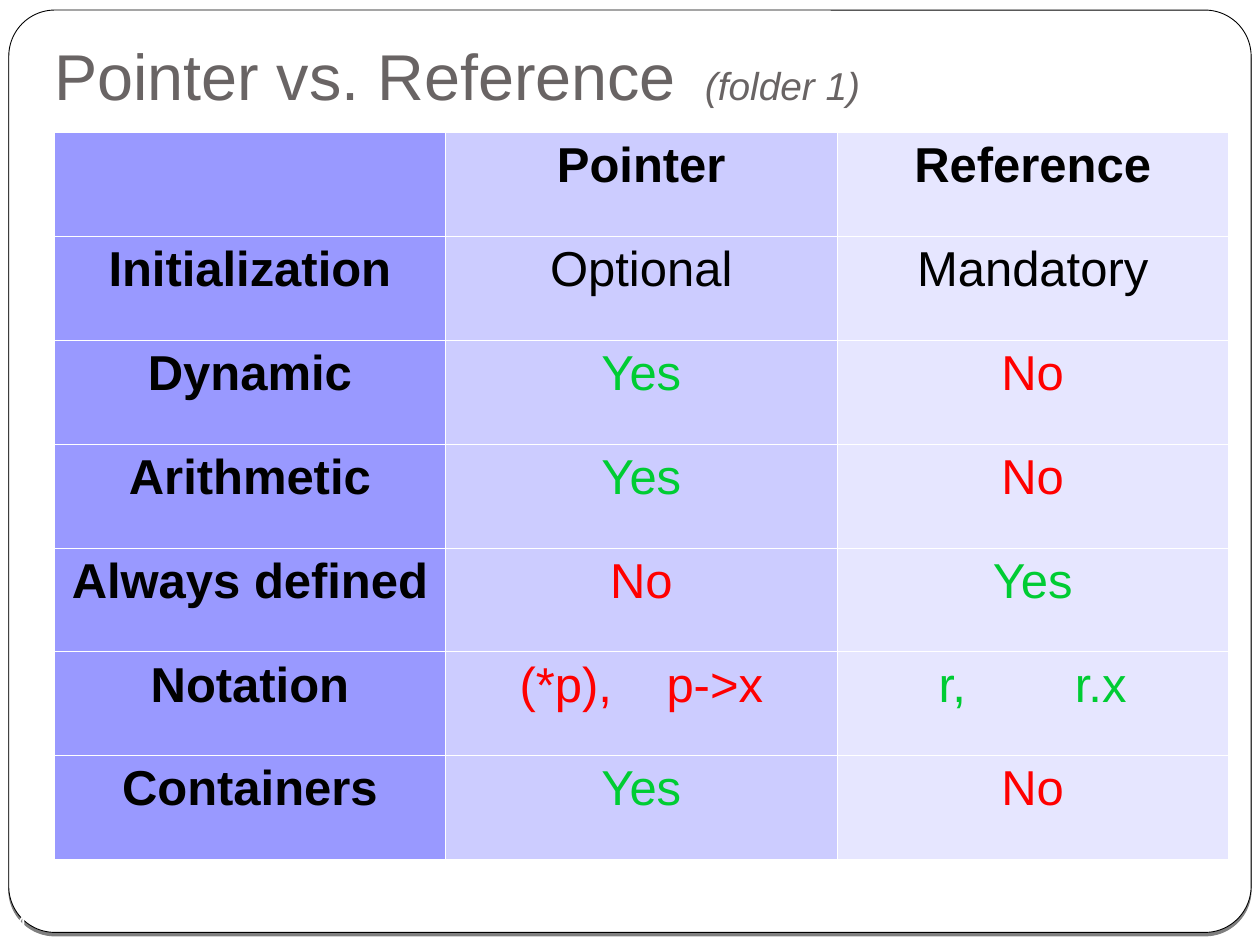
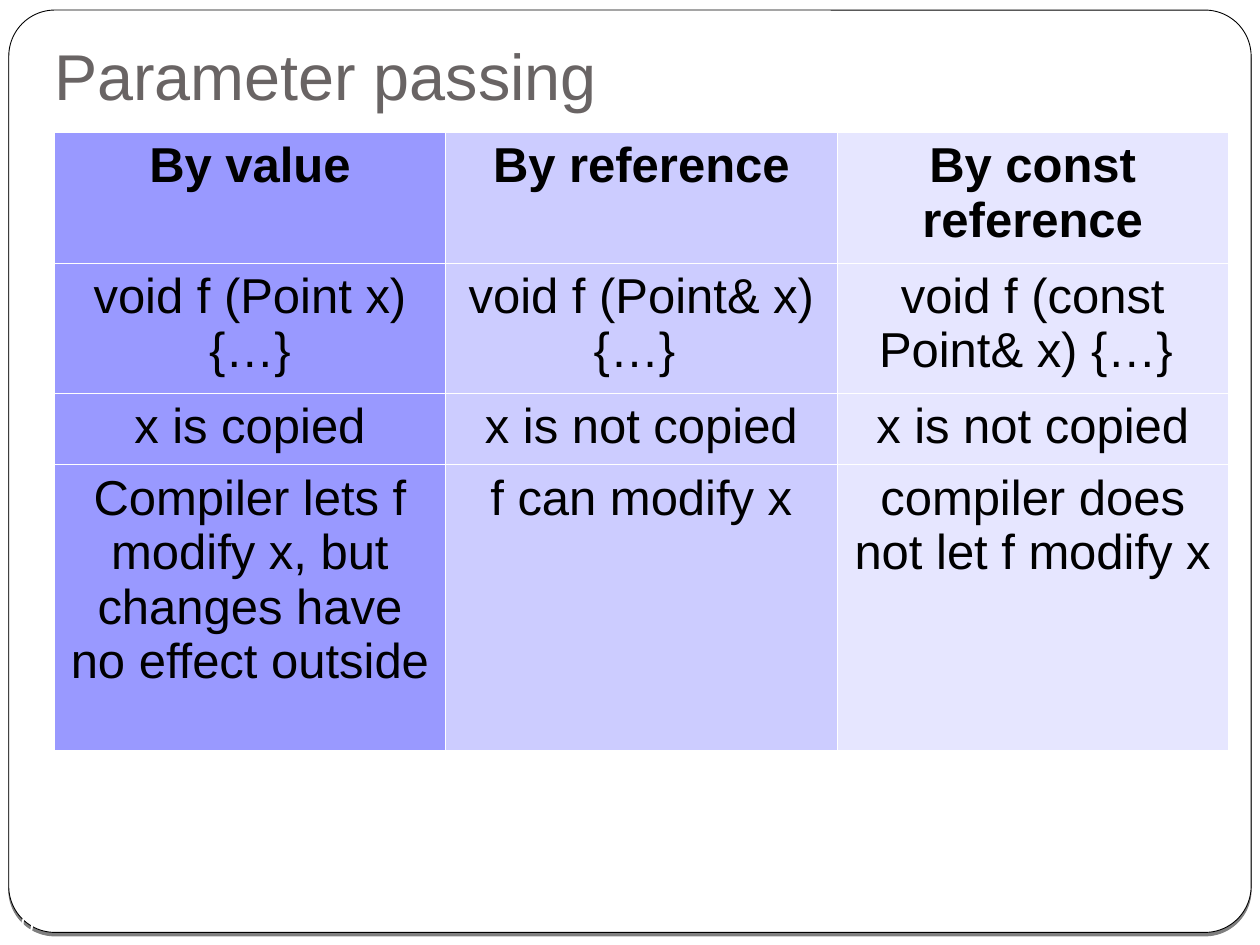
import pptx
import pptx.util
import pptx.dml.color
import pptx.enum.shapes
import pptx.enum.text
import pptx.oxml
import pptx.oxml.ns

Inches = pptx.util.Inches
Pt = pptx.util.Pt
MSO_SHAPE = pptx.enum.shapes.MSO_SHAPE
PP_ALIGN = pptx.enum.text.PP_ALIGN
MSO_ANCHOR = pptx.enum.text.MSO_ANCHOR

FONT = "Arial"
COLORS = {
    "paper": "FFFFFF",
    "ink": "000000",
    "title": "696464",
    "good": "00CC33",
    "bad": "FF0000",
}
COLUMN_FILLS = ["9999FF", "CCCCFF", "E6E6FF"]

SLIDE_BOX = (0, 0, 10, 7.5)
FRAME_BOX = (0.07, 0.08, 9.86, 7.32)
TITLE_BOX = (0.33, 0.3, 9.33, 0.7)
NUMBER_BOX = (0, 7.17, 0.33, 0.33)
TABLE_LEFT, TABLE_TOP, TABLE_WIDTH = 0.43, 1.05, 9.32

POINTER_ROWS = [
    ["", "Pointer", "Reference"],
    ["Initialization", "Optional", "Mandatory"],
    ["Dynamic", "Yes", "No"],
    ["Arithmetic", "Yes", "No"],
    ["Always defined", "No", "Yes"],
    ["Notation", "(*p), p->x", "r, r.x"],
    ["Containers", "Yes", "No"],
]
PASSING_ROWS = [
    ["By value", "By reference", "By const reference"],
    ["void f (Point x) {…}", "void f (Point& x) {…} ", "void f (const Point& x) {…} "],
    ["x is copied", "x is not copied", "x is not copied"],
    [
        "Compiler lets f modify x, but changes have no effect outside",
        "f can modify x",
        "compiler does not let f modify x",
    ],
]
VERDICTS = {"Yes": "good", "No": "bad", "(*p), p->x": "bad", "r, r.x": "good"}
NOTATION_GAPS = {"(*p), p->x": 23.4, "r, r.x": 54.5}


def rgb(value):
    return pptx.dml.color.RGBColor.from_string(value)


def inches(box):
    return [Inches(v) for v in box]


def set_font(font, size, color, bold=False):
    font.name = FONT
    font.size = Pt(size)
    font.bold = bold
    font.color.rgb = rgb(COLORS[color])


def set_margins(tf, left, top, right, bottom):
    tf.margin_left, tf.margin_top = Inches(left), Inches(top)
    tf.margin_right, tf.margin_bottom = Inches(right), Inches(bottom)


def add_spaced_runs(p, before, after, gap):
    runs = []
    for text in (before, " ", after):
        r = p.add_run()
        r.text = text
        runs.append(r)
    runs[1].font._element.set("spc", str(round(gap * 100)))
    return runs


def add_shadow(sp):
    sp.shadow.inherit = False
    effects = sp._element.spPr.find(pptx.oxml.ns.qn("a:effectLst"))
    effects.append(pptx.oxml.parse_xml(
        f'<a:outerShdw {pptx.oxml.ns.nsdecls("a")} blurRad="0" dist="{Pt(2)}" '
        f'dir="5400000" rotWithShape="0"><a:srgbClr val="{COLORS["ink"]}">'
        '<a:alpha val="50000"/></a:srgbClr></a:outerShdw>'
    ))


def add_panel(s, shape_type, box):
    sp = s.shapes.add_shape(shape_type, *inches(box))
    sp.shadow.inherit = False
    sp.fill.solid()
    sp.fill.fore_color.rgb = rgb(COLORS["paper"])
    sp.line.fill.background()
    return sp


def style_master(prs, s):
    master = prs.slide_master
    fill = master.background.fill
    fill.gradient()
    fill.gradient_angle = 270
    for stop, color in zip(fill.gradient_stops, ("ink", "paper")):
        stop.color.rgb = rgb(COLORS[color])

    backdrop = add_panel(s, MSO_SHAPE.RECTANGLE, SLIDE_BOX)
    frame = add_panel(s, MSO_SHAPE.ROUNDED_RECTANGLE, FRAME_BOX)
    frame.adjustments[0] = 0.05
    frame.line.color.rgb = rgb(COLORS["ink"])
    frame.line.width = Pt(0.5)
    add_shadow(frame)
    for i, sp in enumerate((backdrop, frame)):
        master.shapes._spTree.insert(2 + i, sp._element)


def add_title(s, box, text, note=None):
    sp = s.shapes.title
    sp.left, sp.top, sp.width, sp.height = inches(box)
    tf = sp.text_frame
    tf.word_wrap = True
    tf.auto_size = pptx.enum.text.MSO_AUTO_SIZE.NONE
    tf.vertical_anchor = MSO_ANCHOR.BOTTOM
    set_margins(tf, 0.1, 0.05, 0.1, 0.1)
    p = tf.paragraphs[0]
    p.alignment = PP_ALIGN.LEFT
    p.line_spacing = 0.8
    set_font(p.font, 37, "title")
    if note:
        r = add_spaced_runs(p, text, note, 6.2)[-1]
        r.font.size = Pt(22.2)
        r.font.italic = True
    else:
        p.add_run().text = text


def add_number(s, box, number):
    tf = s.shapes.add_textbox(*inches(box)).text_frame
    tf.word_wrap = True
    tf.vertical_anchor = MSO_ANCHOR.MIDDLE
    set_margins(tf, 0, 0, 0, 0)
    p = tf.paragraphs[0]
    p.text = str(number)
    p.alignment = PP_ALIGN.CENTER
    set_font(p.font, 14, "paper")


def add_borders(cell):
    tcPr = cell._tc.get_or_add_tcPr()
    for side in ("lnL", "lnR", "lnT", "lnB"):
        tcPr.append(pptx.oxml.parse_xml(
            f'<a:{side} {pptx.oxml.ns.nsdecls("a")} w="{Pt(0.06)}"><a:solidFill>'
            f'<a:srgbClr val="{COLORS["paper"]}"/></a:solidFill></a:{side}>'
        ))


def fill_cell(cell, text, fill, bold):
    add_borders(cell)
    cell.fill.solid()
    cell.fill.fore_color.rgb = rgb(fill)
    set_margins(cell, 0.1, 0.05, 0.1, 0.05)
    p = cell.text_frame.paragraphs[0]
    p.alignment = PP_ALIGN.CENTER
    set_font(p.font, 28, VERDICTS.get(text, "ink"), bold)
    if text in NOTATION_GAPS:
        add_spaced_runs(p, *text.split(" "), NOTATION_GAPS[text])
    elif text:
        p.add_run().text = text


def add_comparison(s, box, rows, heights, bold_labels):
    columns = len(COLUMN_FILLS)
    table = s.shapes.add_table(len(rows), columns, *inches(box)).table
    table.first_row = table.horz_banding = False
    for column in table.columns:
        column.width = Inches(box[2] / columns)
    for i, (texts, height) in enumerate(zip(rows, heights)):
        table.rows[i].height = Inches(height)
        for j, (text, fill) in enumerate(zip(texts, COLUMN_FILLS)):
            bold = i == 0 or (bold_labels and j == 0)
            fill_cell(table.cell(i, j), text, fill, bold)


def build_slide(s, number, title, rows, heights, note=None, bold_labels=False):
    add_title(s, TITLE_BOX, title, note)
    add_number(s, NUMBER_BOX, number)
    box = (TABLE_LEFT, TABLE_TOP, TABLE_WIDTH, sum(heights))
    add_comparison(s, box, rows, heights, bold_labels)


def main():
    prs = pptx.Presentation()
    prs.slide_width, prs.slide_height = inches(SLIDE_BOX[2:])
    pointers, passing = [prs.slides.add_slide(prs.slide_layouts[5]) for _ in range(2)]
    style_master(prs, pointers)
    build_slide(
        pointers, 4, "Pointer vs. Reference", POINTER_ROWS,
        [5.77 / len(POINTER_ROWS)] * len(POINTER_ROWS),
        note="(folder 1)", bold_labels=True,
    )
    build_slide(passing, 10, "Parameter passing", PASSING_ROWS, [0.97, 0.97, 0.54, 2.27])
    prs.save("out.pptx")


if __name__ == "__main__":
    main()
